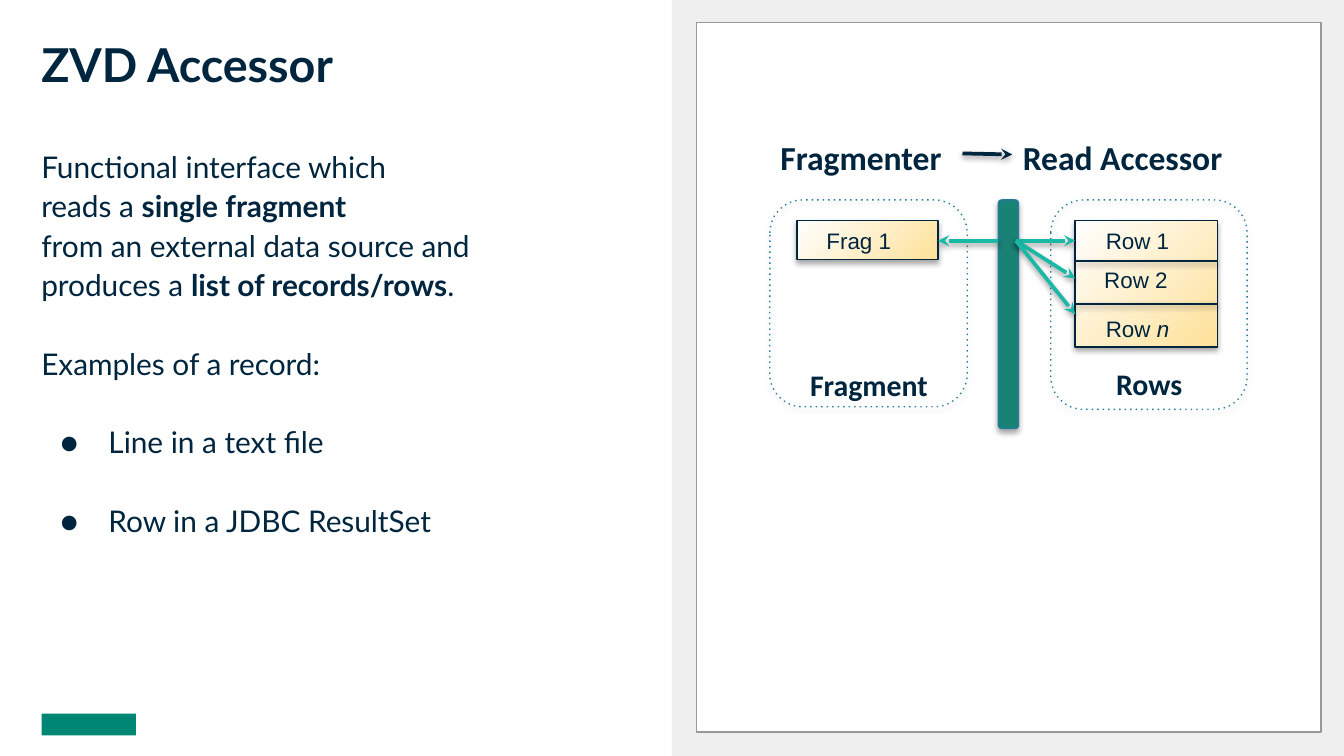
from lxml.etree import SubElement
from pptx import Presentation
from pptx.dml.color import RGBColor
from pptx.enum.shapes import MSO_CONNECTOR, MSO_SHAPE
from pptx.enum.text import MSO_ANCHOR, MSO_AUTO_SIZE, PP_ALIGN
from pptx.oxml.ns import qn
from pptx.util import Cm, Pt

NAVY = RGBColor(0x00, 0x25, 0x3E)
WHITE = RGBColor(0xFF, 0xFF, 0xFF)
PALE_GRAY = RGBColor(0xEF, 0xEF, 0xEF)
MID_GRAY = RGBColor(0x99, 0x99, 0x99)
BRAND_GREEN = RGBColor(0x00, 0x87, 0x74)
BAR_GREEN = RGBColor(0x1A, 0x82, 0x75)
ARROW_TEAL = RGBColor(0x1A, 0xB9, 0xA5)
OUTLINE_BLUE = RGBColor(0x27, 0x7A, 0x9D)
SOFT_YELLOW = RGBColor(0xFE, 0xE1, 0x99)

BLANK_LINE = 21.1
BODY = [
    (["Functional interface which"], 0, False),
    (["reads a ", "*single fragment"], 0, False),
    (["from an external data source and"], 0, False),
    (["produces a ", "*list of records/rows", "."], 0, False),
    (["Examples of a record:"], BLANK_LINE, False),
    (["Line in a text file"], BLANK_LINE, True),
    (["Row in a JDBC ResultSet"], BLANK_LINE, True),
]


def add_span(para, text, size, font, bold=False, italic=False):
    """Append one formatted run to a paragraph."""
    span = para.add_run()
    span.text = text
    span.font.size = Pt(size)
    span.font.name = font
    span.font.bold = bold
    span.font.italic = italic
    span.font.color.rgb = NAVY


def add_shadow(shape, alpha=35, distance=1.8):
    """Give a shape or connector a soft shadow straight below it."""
    properties = shape._element.spPr
    for old in properties.findall(qn("a:effectLst")):
        properties.remove(old)
    effects = SubElement(properties, qn("a:effectLst"))
    shadow = SubElement(effects, qn("a:outerShdw"), blurRad=str(Pt(3.1)),
                        dist=str(Pt(distance)), dir="5400000",
                        algn="bl", rotWithShape="0")
    color = SubElement(shadow, qn("a:srgbClr"), val="000000")
    SubElement(color, qn("a:alpha"), val=str(alpha * 1000))


def place_frame(box, left, top, width, height, inset):
    """Move a text holder and set its wrapping, anchor and margins."""
    box.left, box.top = Cm(left), Cm(top)
    box.width, box.height = Cm(width), Cm(height)
    frame = box.text_frame
    frame.word_wrap = True
    frame.auto_size = MSO_AUTO_SIZE.NONE
    frame.vertical_anchor = MSO_ANCHOR.TOP
    frame.margin_left = frame.margin_right = Cm(0.25)
    frame.margin_top = frame.margin_bottom = Cm(inset)
    return frame


def add_label(page, text, left, top, width, height, size, font="Calibri",
              bold=True, align=PP_ALIGN.LEFT, italic_end=""):
    """Add a one-line text box, with an optional italic ending."""
    box = page.shapes.add_textbox(0, 0, 0, 0)
    para = place_frame(box, left, top, width, height, 0.13).paragraphs[0]
    para.alignment = align
    add_span(para, text, size, font, bold)
    if italic_end:
        add_span(para, italic_end, size, font, bold, True)


def add_box(page, kind, left, top, width, height, fill=None, line=None):
    """Add a preset shape with a plain fill and a thin outline."""
    box = page.shapes.add_shape(kind, Cm(left), Cm(top), Cm(width), Cm(height))
    box.shadow.inherit = False
    if fill is None:
        box.fill.background()
    else:
        box.fill.solid()
        box.fill.fore_color.rgb = fill
    if line is None:
        box.line.fill.background()
    else:
        box.line.color.rgb = line
        box.line.width = Pt(0.75)
    return box


def add_group_outline(page, left, top, width, height):
    """Add a dotted rounded outline around a group of records."""
    box = add_box(page, MSO_SHAPE.ROUNDED_RECTANGLE, left, top, width, height,
                  line=OUTLINE_BLUE)
    SubElement(box._element.spPr.find(qn("a:ln")), qn("a:prstDash"), val="dot")
    add_shadow(box)


def add_record_box(page, left, top, width, height):
    """Add a box shaded from white to yellow at its lower right corner."""
    box = add_box(page, MSO_SHAPE.RECTANGLE, left, top, width, height, line=NAVY)
    box.fill.gradient()
    for stop, color in zip(box.fill.gradient_stops, (SOFT_YELLOW, WHITE)):
        stop.color.rgb = color
    gradient = box._element.spPr.find(qn("a:gradFill"))
    gradient.remove(gradient.find(qn("a:lin")))
    shade = SubElement(gradient, qn("a:path"))
    shade.set("path", "circle")
    SubElement(shade, qn("a:fillToRect"), l="100000", t="100000")
    SubElement(gradient, qn("a:tileRect"))
    add_shadow(box)


def add_line(page, start, end, color, width=2, arrow=True):
    """Add a straight connector, with a stealth head when it is an arrow."""
    line = page.shapes.add_connector(MSO_CONNECTOR.STRAIGHT,
                                     Cm(start[0]), Cm(start[1]),
                                     Cm(end[0]), Cm(end[1]))
    line.line.color.rgb = color
    line.line.width = Pt(width)
    if arrow:
        SubElement(line._element.spPr.find(qn("a:ln")), qn("a:tailEnd"),
                   type="stealth")
    add_shadow(line, 38, 1.6)


def set_bullet(para, bulleted):
    """Turn the bullet of a body paragraph on or off."""
    properties = para._p.get_or_add_pPr()
    properties.set("marL", str(Cm(1.27) if bulleted else 0))
    properties.set("indent", str(Cm(-0.91) if bulleted else 0))
    if bulleted:
        color = SubElement(properties, qn("a:buClr"))
        SubElement(color, qn("a:srgbClr"), val=str(NAVY))
        SubElement(properties, qn("a:buFont"), typeface="Lato")
        SubElement(properties, qn("a:buChar"), char="●")
    else:
        SubElement(properties, qn("a:buNone"))


def fill_text(page):
    """Fill the title and the body placeholders."""
    title, body = page.placeholders
    para = place_frame(title, 0.53, 0.43, 11.89, 1.09, 0.25).paragraphs[0]
    para.alignment = PP_ALIGN.LEFT
    add_span(para, "ZVD Accessor", 25, "Lato", True)
    frame = place_frame(body, 0.53, 2.49, 11.81, 10.46, 0.25)
    for index, (spans, gap, bulleted) in enumerate(BODY):
        para = frame.add_paragraph() if index else frame.paragraphs[0]
        para.line_spacing = 1.1
        para.space_before = Pt(gap)
        set_bullet(para, bulleted)
        for text in spans:
            add_span(para, text.lstrip("*"), 16, "Lato", text.startswith("*"))


def draw_fragmenter(page):
    """Draw the fragment side and the bar between both sides."""
    bar = add_box(page, MSO_SHAPE.ROUNDED_RECTANGLE, 18.87, 3.78, 0.38, 4.32,
                  BAR_GREEN, OUTLINE_BLUE)
    add_shadow(bar)
    add_group_outline(page, 14.55, 3.78, 3.73, 3.91)
    add_record_box(page, 15.06, 4.17, 2.67, 0.74)
    add_label(page, "Frag 1", 15.37, 4.17, 1.83, 0.64, 12, "Arial", False)
    add_label(page, "Fragment", 15.06, 6.81, 2.97, 0.71, 16)
    add_label(page, "Fragmenter", 14.5, 2.46, 3.61, 0.76, 18)
    add_line(page, (18.87, 4.55), (17.73, 4.55), ARROW_TEAL)


def draw_accessor(page):
    """Draw the rows side with its arrows."""
    add_label(page, "Read Accessor", 19.08, 2.46, 4.62, 0.76, 18)
    add_group_outline(page, 19.86, 3.78, 3.71, 3.96)
    add_label(page, "Rows", 20.45, 6.78, 2.54, 0.76, 16, align=PP_ALIGN.CENTER)
    add_record_box(page, 20.32, 4.17, 2.69, 2.39)
    for top in (4.93, 5.74):
        add_line(page, (20.32, top), (23.01, top), NAVY, 1, False)
    for end in (4.55, 5.26, 5.94):
        add_line(page, (19.2, 4.55), (20.32, end), ARROW_TEAL)
    add_line(page, (18.19, 2.9), (19.13, 2.92), NAVY)
    rows = [("Row 1", "", 20.65, 4.17), ("Row 2", "", 20.62, 4.9),
            ("Row ", "n", 20.65, 5.82)]
    for text, ending, left, top in rows:
        add_label(page, text, left, top, 2.06, 0.64, 12, "Arial", False,
                  italic_end=ending)


def main():
    """Build the slide and save it."""
    deck = Presentation()
    deck.slide_width, deck.slide_height = Cm(25.4), Cm(14.29)
    page = deck.slides.add_slide(deck.slide_layouts[1])
    add_box(page, MSO_SHAPE.RECTANGLE, 12.7, 0, 12.7, 14.29, PALE_GRAY)
    add_box(page, MSO_SHAPE.RECTANGLE, 0.79, 13.49, 1.78, 0.41, BRAND_GREEN)
    fill_text(page)
    add_box(page, MSO_SHAPE.RECTANGLE, 13.16, 0.43, 11.81, 13.41, WHITE, MID_GRAY)
    draw_fragmenter(page)
    draw_accessor(page)
    deck.save("out.pptx")


if __name__ == "__main__":
    main()
